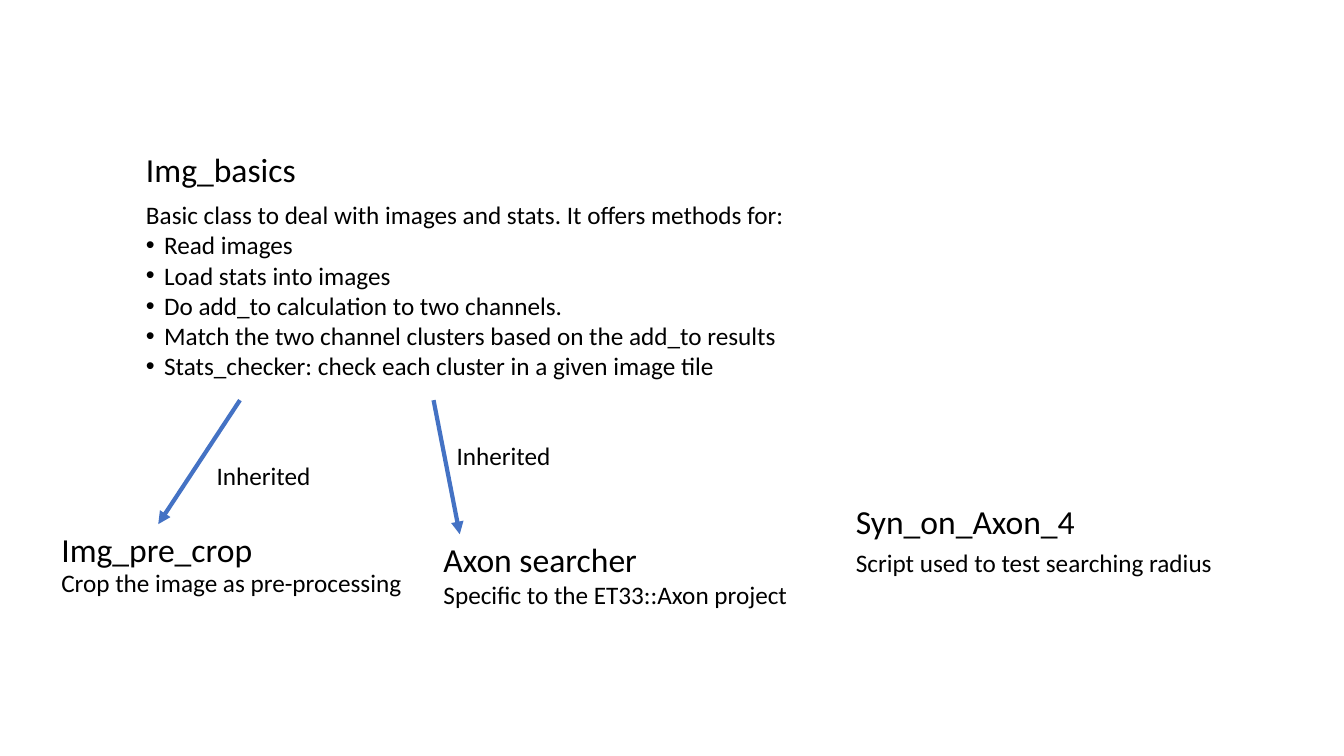
from dataclasses import dataclass

from lxml import etree
from pptx import Presentation
from pptx import util as u
from pptx.dml.color import RGBColor
from pptx.enum import shapes, text
from pptx.oxml import ns


@dataclass(frozen=True)
class Theme:
    """Colours, font and sizes shared by the whole slide."""
    font: str = "Calibri"
    ink: RGBColor = RGBColor(0, 0, 0)
    arrow: RGBColor = RGBColor(0x44, 0x72, 0xC4)
    name_size: int = 24
    body_size: int = 18
    arrow_width: int = 3
    bullet_indent: float = 0.18


THEME = Theme()
NAME_HEIGHT, LINE_HEIGHT = 0.5, 0.4


def set_all(target, values):
    """Set every attribute named in values on target."""
    for key, value in values.items():
        setattr(target, key, value)


def add_bullet(paragraph):
    """Give the paragraph a hanging round bullet."""
    indent = u.Inches(THEME.bullet_indent)
    properties = paragraph._p.get_or_add_pPr()
    properties.set("marL", str(indent))
    properties.set("indent", str(-indent))
    etree.SubElement(properties, ns.qn("a:buFont"), typeface="Arial")
    etree.SubElement(properties, ns.qn("a:buChar"), char="•")


def add_words(slide, box, lines, size):
    """Write lines in the box, with bullets on all but the first."""
    label = slide.shapes.add_textbox(*map(u.Inches, box))
    frame = label.text_frame
    set_all(frame, {"word_wrap": False,
                    "auto_size": text.MSO_AUTO_SIZE.SHAPE_TO_FIT_TEXT})
    frame.text = "\n".join(lines)
    for index, paragraph in enumerate(frame.paragraphs):
        set_all(paragraph.font, {"name": THEME.font, "size": u.Pt(size)})
        paragraph.font.color.rgb = THEME.ink
        if index:
            add_bullet(paragraph)


def add_class(slide, box, name, name_width, drop, summary):
    """Place a class name at the top of the box and its summary drop inches lower."""
    left, top, width, height = box
    add_words(slide, (left, top, name_width, NAME_HEIGHT), [name], THEME.name_size)
    add_words(slide, (left, top + drop, width, height - drop), summary, THEME.body_size)


def add_inheritance(slide, box, leftward, label_offset):
    """Draw an arrow down the box's diagonal and label it beside the box corner."""
    left, top, width, height = box
    start, end = (left + width, left) if leftward else (left, left + width)
    arrow = slide.shapes.add_connector(
        shapes.MSO_CONNECTOR.STRAIGHT,
        *map(u.Inches, (start, top, end, top + height)))
    set_all(arrow.line, {"width": u.Pt(THEME.arrow_width)})
    arrow.line.color.rgb = THEME.arrow
    properties = arrow.element.spPr
    etree.SubElement(properties.find(ns.qn("a:ln")), ns.qn("a:tailEnd"), type="triangle")
    etree.SubElement(properties, ns.qn("a:effectLst"))
    across, down = label_offset
    add_words(slide, (left + across, top + down, 1.14, LINE_HEIGHT),
              ["Inherited"], THEME.body_size)


CLASSES = [
    ((1.35, 1.43, 6.6, 2.42), "Img_basics", 1.7, 0.5, [
        "Basic class to deal with images and stats. It offers methods for:",
        "Read images",
        "Load stats into images",
        "Do add_to calculation to two channels.",
        "Match the two channel clusters based on the add_to results",
        "Stats_checker: check each cluster in a given image tile",
    ]),
    ((0.51, 5.2, 3.62, 0.78), "Img_pre_crop", 2.12, 0.38,
     ["Crop the image as pre-processing"]),
    ((4.3, 5.3, 3.65, 0.8), "Axon searcher", 2.14, 0.4,
     ["Specific to the ET33::Axon project"]),
    ((8.39, 4.92, 3.77, 0.86), "Syn_on_Axon_4", 2.4, 0.46,
     ["Script used to test searching radius"]),
]
INHERITANCES = [
    ((1.57, 3.97, 0.81, 1.23), True, (0.48, 0.55)),
    ((4.3, 3.97, 0.26, 1.33), False, (0.13, 0.35)),
]

deck = Presentation()
set_all(deck, {"slide_width": u.Inches(13.33), "slide_height": u.Inches(7.5)})
class_map = deck.slides.add_slide(deck.slide_layouts[6])
for entry in CLASSES:
    add_class(class_map, *entry)
for entry in INHERITANCES:
    add_inheritance(class_map, *entry)
deck.save("out.pptx")
